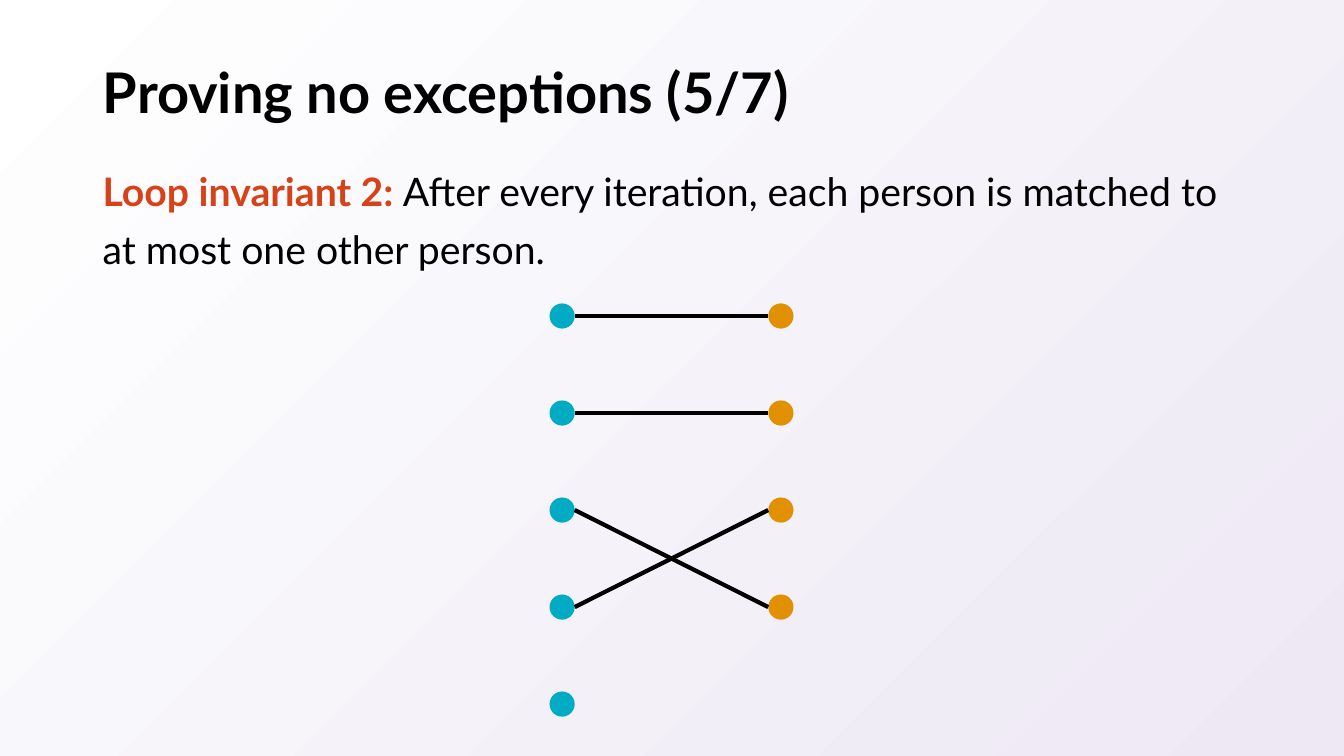
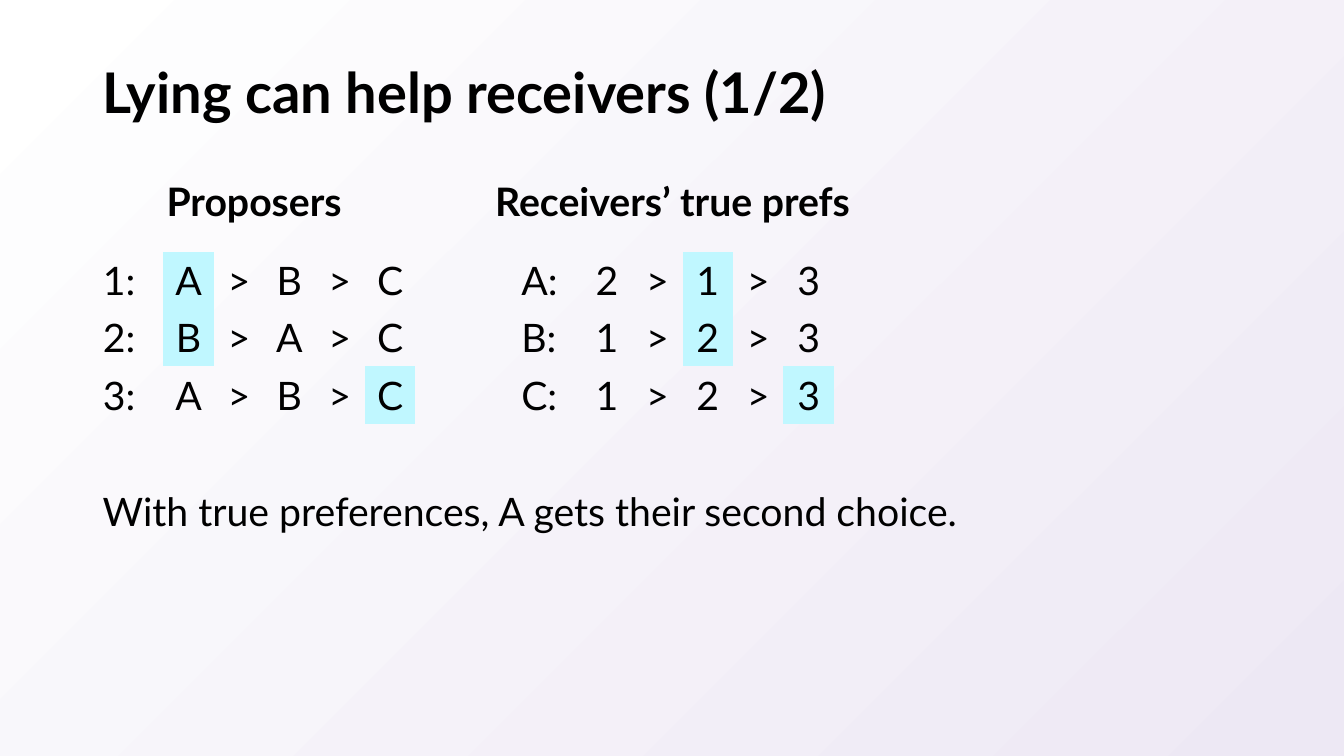
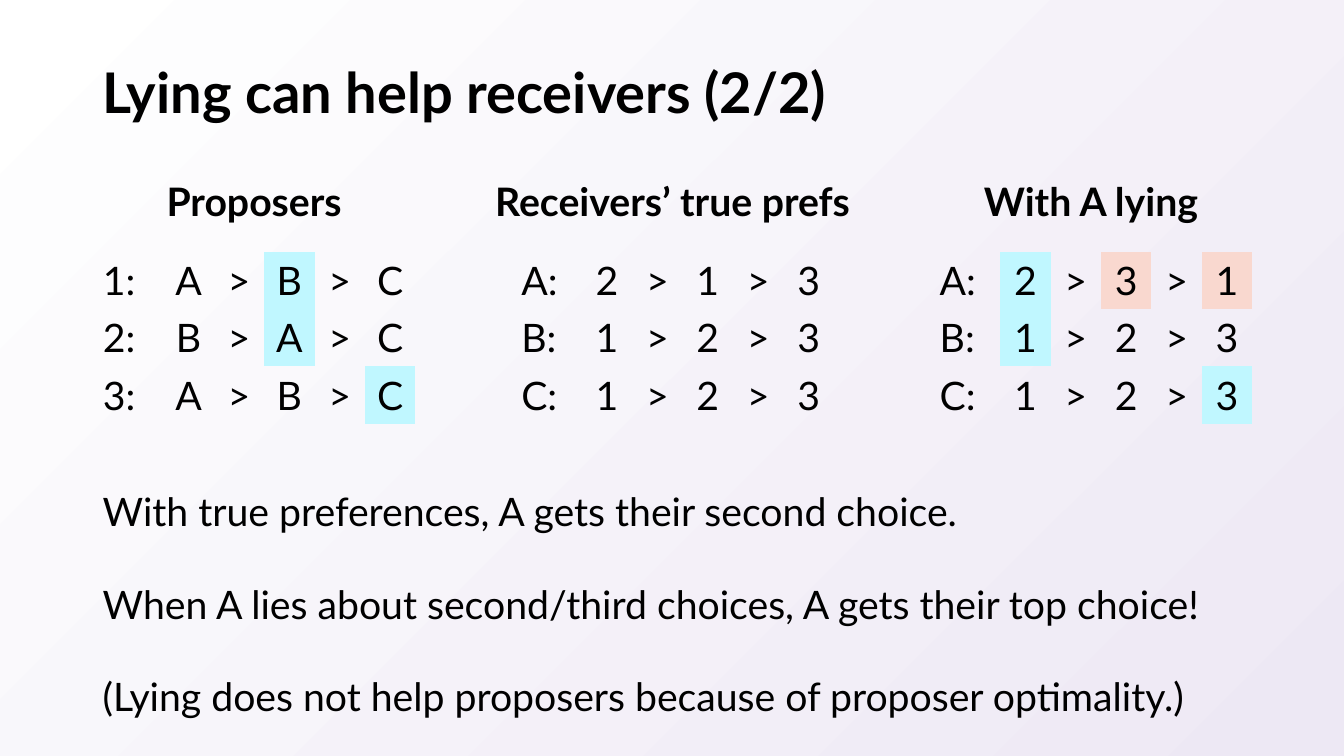
from lxml import etree
from pptx import Presentation
from pptx.dml.color import RGBColor
from pptx.enum import shapes, text
from pptx.oxml.ns import qn
from pptx.util import Inches, Pt

# Shared style
FONT = "Lato"
BLACK, RED, TEAL, GOLD = "000000", "D6431A", "00ABC3", "E09000"
SKY, PINK = "C0F7FF", "F9D8CF"
LEFT, WIDE = 0.92, 11.5
PLAIN = "{2D5ABB26-0587-4C30-8999-92F81FD0307C}"  # table style: no grid


def rgb(code):
    return RGBColor.from_string(code)


def write(par, words, size=28, color=BLACK, bold=False, align="LEFT",
          line=None, before=None):
    """Add a run to a paragraph and format both."""
    par.alignment = getattr(text.PP_ALIGN, align)
    if line is not None:
        par.line_spacing = line
    if before is not None:
        par.space_before = Pt(before)
    font = par.add_run().font
    par.runs[-1].text = words
    font.name, font.size, font.bold = FONT, Pt(size), bold
    font.color.rgb = rgb(color)


class Deck:
    def __init__(self):
        self.prs = Presentation()
        self.prs.slide_width, self.prs.slide_height = Inches(13.33), Inches(7.5)
        self.slide = None
        # Background gradient on the master
        fill = self.prs.slide_master.background.fill
        fill.gradient()
        fill.gradient_angle = 315
        for stop, code in zip(fill.gradient_stops, ("FFFFFF", "EDE8F4")):
            stop.color.rgb = rgb(code)

    def page(self, title):
        self.slide = self.prs.slides.add_slide(self.prs.slide_layouts[5])
        head = self.slide.shapes.title
        head.left, head.top = Inches(LEFT), Inches(0.4)
        head.width, head.height = Inches(WIDE), Inches(1.09)
        frame = head.text_frame
        frame.auto_size = text.MSO_AUTO_SIZE.NONE
        frame.vertical_anchor = text.MSO_ANCHOR.MIDDLE
        write(frame.paragraphs[0], title, size=40, bold=True, line=0.9)

    def box(self, x, y, w, h, pars, wrap=True, align="LEFT"):
        """Add a text box; each paragraph is a list of (words, format)."""
        frame = self.slide.shapes.add_textbox(
            Inches(x), Inches(y), Inches(w), Inches(h)).text_frame
        frame.word_wrap = wrap
        for i, runs in enumerate(pars):
            par = frame.add_paragraph() if i else frame.paragraphs[0]
            for words, form in runs:
                write(par, words, align=align, line=1.25, before=24, **form)

    def dot(self, x, y, size, color):
        dot = self.slide.shapes.add_shape(
            shapes.MSO_SHAPE.OVAL, Inches(x), Inches(y), Inches(size), Inches(size))
        dot.shadow.inherit = False
        dot.fill.solid()
        dot.fill.fore_color.rgb = rgb(color)
        dot.line.fill.background()

    def line(self, x1, y1, x2, y2):
        line = self.slide.shapes.add_connector(
            shapes.MSO_CONNECTOR.STRAIGHT,
            Inches(x1), Inches(y1), Inches(x2), Inches(y2))
        line.line.color.rgb = rgb(BLACK)
        line.line.width = Pt(3)
        etree.SubElement(line._element.spPr, qn("a:effectLst"))

    def prefs(self, slot, title, width, rows, marks):
        """Add a headed preference table; marks maps (row, column) to a fill."""
        x, cols = LEFT + 4.15 * slot, (0.7,) + (0.5,) * 5
        self.box(x + (sum(cols) - width) / 2, 1.59, width, 0.63,
                 [[(title, {"bold": True})]], wrap=False, align="CENTER")
        table = self.slide.shapes.add_table(
            len(rows), len(cols), Inches(x), Inches(2.5),
            Inches(sum(cols)), Inches(1.7)).table
        table.first_row = table.horz_banding = False
        table._tbl.tblPr.find(qn("a:tableStyleId")).text = PLAIN
        for col, w in zip(table.columns, cols):
            col.width = Inches(w)
        for r, row in enumerate(rows):
            for c, words in enumerate([row[:2], *row[2:]]):
                cell = table.cell(r, c)
                cell.vertical_anchor = text.MSO_ANCHOR.MIDDLE
                write(cell.text_frame.paragraphs[0], words,
                      align="CENTER" if c else "LEFT")
                if (r, c) in marks:
                    cell.fill.solid()
                    cell.fill.fore_color.rgb = rgb(marks[r, c])
                else:
                    cell.fill.background()


def match(deck):
    deck.page("Proving no exceptions (5/7)")
    deck.box(LEFT, 1.49, WIDE, 5.26, [[
        ("Loop invariant 2: ", {"color": RED, "bold": True}),
        ("After every iteration, each person is matched to at most one "
         "other person.", {})]])
    # Two columns of people and their matches
    size, near, far = 0.25, 5.45, 7.62
    tops = [3.01 + (6.86 - 3.01) / 4 * i for i in range(5)]
    for x, color, count in ((far, GOLD, 4), (near, TEAL, 5)):
        for y in tops[:count]:
            deck.dot(x, y, size, color)
    for a, b in ((0, 0), (1, 1), (2, 3), (3, 2)):
        deck.line(far, tops[a] + size / 2, near + size, tops[b] + size / 2)


def lying(deck, part, notes, givers, takers):
    deck.page(f"Lying can help receivers ({part}/2)")
    deck.box(LEFT, 4.67, WIDE, 1.9, [[(note, {})] for note in notes])
    deck.prefs(0, "Proposers", 1.99, ["1:A>B>C", "2:B>A>C", "3:A>B>C"], givers)
    deck.prefs(1, "Receivers’ true prefs", 3.81,
               ["A:2>1>3", "B:1>2>3", "C:1>2>3"], takers)


def main():
    deck = Deck()
    match(deck)

    notes = ["With true preferences, A gets their second choice.",
             "When A lies about second/third choices, A gets their top choice!",
             "(Lying does not help proposers because of proposer optimality.)"]
    first = {(0, 1): SKY, (1, 1): SKY, (2, 5): SKY}
    second = {(0, 3): SKY, (1, 3): SKY, (2, 5): SKY}
    lying(deck, 1, notes[:1], first, second)
    lying(deck, 2, notes, second, {})
    deck.prefs(2, "With A lying", 2.37, ["A:2>3>1", "B:1>2>3", "C:1>2>3"],
               {**first, (0, 3): PINK, (0, 5): PINK})

    deck.prs.save("out.pptx")


if __name__ == "__main__":
    main()
